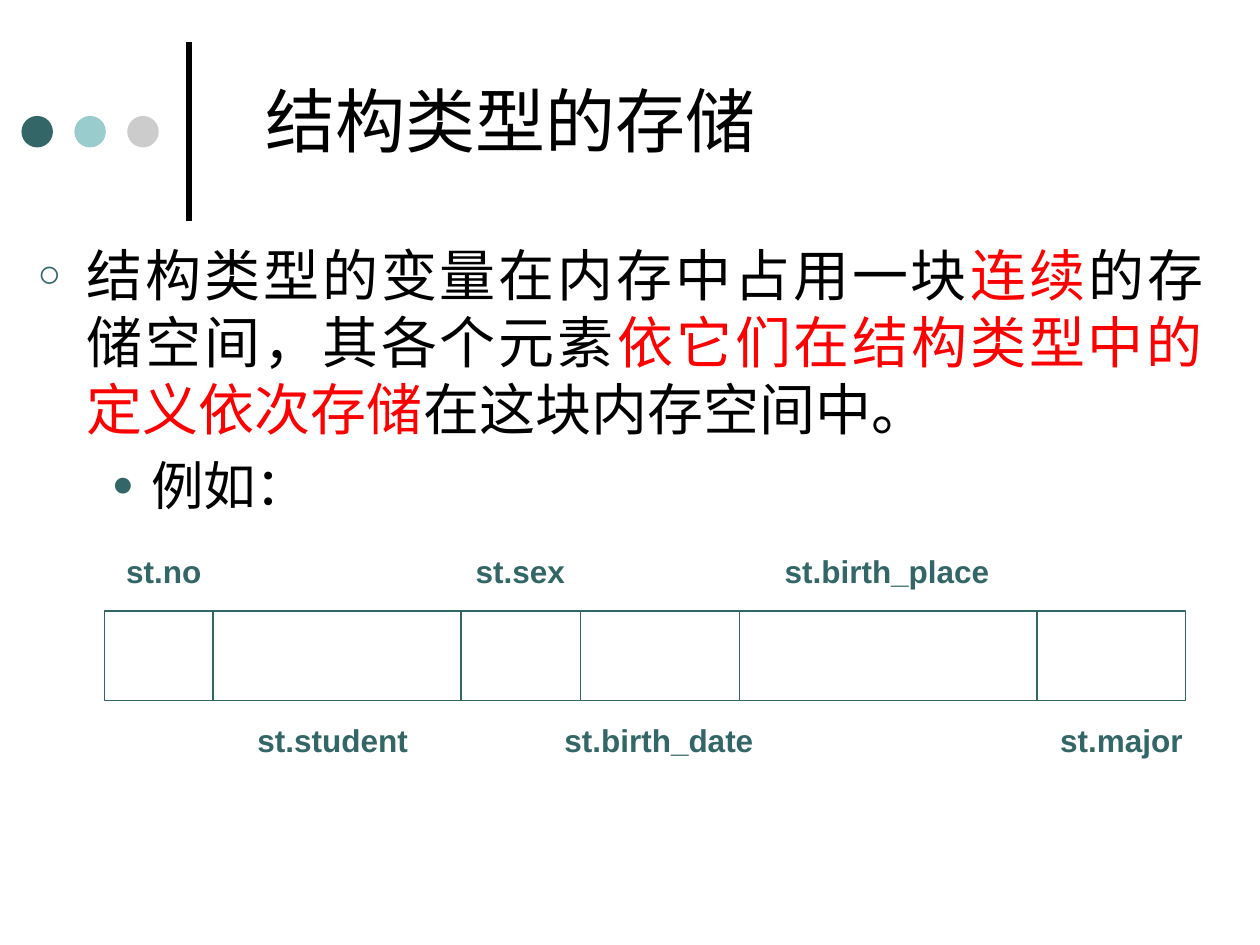
import pptx
import pptx.util
import pptx.dml.color
import pptx.enum.shapes
import pptx.enum.text
import pptx.oxml.ns
from lxml import etree

COLORS = {"ink": "000000", "teal": "336666", "aqua": "99CCCC",
          "grey": "CCCCCC", "red": "FF0000"}
FONT = "Arial"
INCH = pptx.util.Inches
ALIGN = pptx.enum.text.PP_ALIGN
ANCHOR = pptx.enum.text.MSO_ANCHOR
SHAPE = pptx.enum.shapes.MSO_SHAPE


def rgb(name):
    return pptx.dml.color.RGBColor.from_string(COLORS[name])


def set_font(paragraph, size, color="ink", bold=False):
    font = paragraph.font
    font.name, font.size, font.bold = FONT, pptx.util.Pt(size), bold
    font.color.rgb = rgb(color)


def add_rule(slide, x1, y1, x2, y2, color, width):
    rule = slide.shapes.add_connector(
        pptx.enum.shapes.MSO_CONNECTOR.STRAIGHT,
        INCH(x1), INCH(y1), INCH(x2), INCH(y2))
    rule.line.color.rgb = rgb(color)
    rule.line.width = pptx.util.Pt(width)
    etree.SubElement(rule._element.spPr, pptx.oxml.ns.qn("a:effectLst"))


def add_bullet(paragraph, char, margin, hanging):
    props = paragraph._p.get_or_add_pPr()
    props.set("marL", str(INCH(margin)))
    props.set("indent", str(-INCH(hanging)))
    qn = pptx.oxml.ns.qn
    color = etree.SubElement(props, qn("a:buClr"))
    etree.SubElement(color, qn("a:srgbClr"), val=COLORS["teal"])
    etree.SubElement(props, qn("a:buSzPct"), val="70000")
    etree.SubElement(props, qn("a:buFont"), typeface=FONT)
    etree.SubElement(props, qn("a:buChar"), char=char)


def build_header(slide, left, top, width, height):
    # Three dots beside an upright rule
    dot, pitch = 0.25, 0.42
    for i, color in enumerate(("teal", "aqua", "grey")):
        circle = slide.shapes.add_shape(
            SHAPE.OVAL, INCH(left + i * pitch), INCH(top + 0.59),
            INCH(dot), INCH(dot))
        circle.shadow.inherit = False
        circle.fill.solid()
        circle.fill.fore_color.rgb = rgb(color)
        circle.line.fill.background()
    rule_x = left + 1.33
    add_rule(slide, rule_x, top + height, rule_x, top, "ink", 3)

    # Title
    title = slide.shapes.title
    title.left, title.top = INCH(left + 1.84), INCH(top + 0.17)
    title.width, title.height = INCH(width - 1.84), INCH(0.89)
    title.text_frame.text = "结构类型的存储"
    title.text_frame.vertical_anchor = ANCHOR.MIDDLE
    heading = title.text_frame.paragraphs[0]
    heading.alignment = ALIGN.LEFT
    set_font(heading, 40)


def build_explanation(slide, left, top, width, height):
    frame = slide.shapes.add_textbox(
        INCH(left), INCH(top), INCH(width), INCH(height)).text_frame
    frame.word_wrap = True

    statement = frame.paragraphs[0]
    statement.alignment = ALIGN.JUSTIFY
    add_bullet(statement, "○", 0.39, 0.39)
    set_font(statement, 32)
    for text, color in (("结构类型的变量在内存中占用一块", "ink"),
                        ("连续", "red"),
                        ("的存储空间，其各个元素", "ink"),
                        ("依它们在结构类型中的定义依次存储", "red"),
                        ("在这块内存空间中。", "ink")):
        run = statement.add_run()
        run.text = text
        run.font.color.rgb = rgb(color)

    example = frame.add_paragraph()
    example.text = "例如："
    example.level = 1
    example.alignment = ALIGN.JUSTIFY
    example.space_before = pptx.util.Pt(6)
    add_bullet(example, "●", 0.9, 0.31)
    set_font(example, 30)


def build_memory_layout(slide, left, top, width, height):
    # Memory block
    block = slide.shapes.add_shape(
        SHAPE.RECTANGLE, INCH(left), INCH(top), INCH(width), INCH(height))
    block.shadow.inherit = False
    block.fill.background()
    block.line.color.rgb = rgb("teal")
    block.line.width = pptx.util.Pt(0.75)

    # Dividers between members
    for offset in (0.86, 2.83, 3.78, 5.04, 7.4):
        x = left + offset
        add_rule(slide, x, top, x, top + height, "teal", 0.75)

    # Member names, alternately above and below: name, centre, label width
    members = (("st.no", 0.47, 1.1), ("st.student", 1.81, 1.65),
               ("st.sex", 3.3, 1.1), ("st.birth_date", 4.4, 2.2),
               ("st.birth_place", 6.21, 2.2), ("st.major", 8.07, 1.65))
    label_rows = (top - 0.55, top + height + 0.08)
    for i, (name, centre, label_width) in enumerate(members):
        frame = slide.shapes.add_textbox(
            INCH(left + centre - label_width / 2), INCH(label_rows[i % 2]),
            INCH(label_width), INCH(0.47)).text_frame
        frame.word_wrap = False
        frame.vertical_anchor = ANCHOR.MIDDLE
        label = frame.paragraphs[0]
        label.text = name
        label.alignment = ALIGN.CENTER
        set_font(label, 18, "teal", bold=True)


def main():
    deck = pptx.Presentation()
    deck.slide_width, deck.slide_height = INCH(10), INCH(7.5)
    slide = deck.slides.add_slide(deck.slide_layouts[5])  # title only
    build_header(slide, 0.17, 0.33, 8.82, 1.42)
    build_explanation(slide, 0.2, 1.86, 9.45, 2.4)
    build_memory_layout(slide, 0.83, 4.85, 8.58, 0.71)
    deck.save("out.pptx")


if __name__ == "__main__":
    main()
